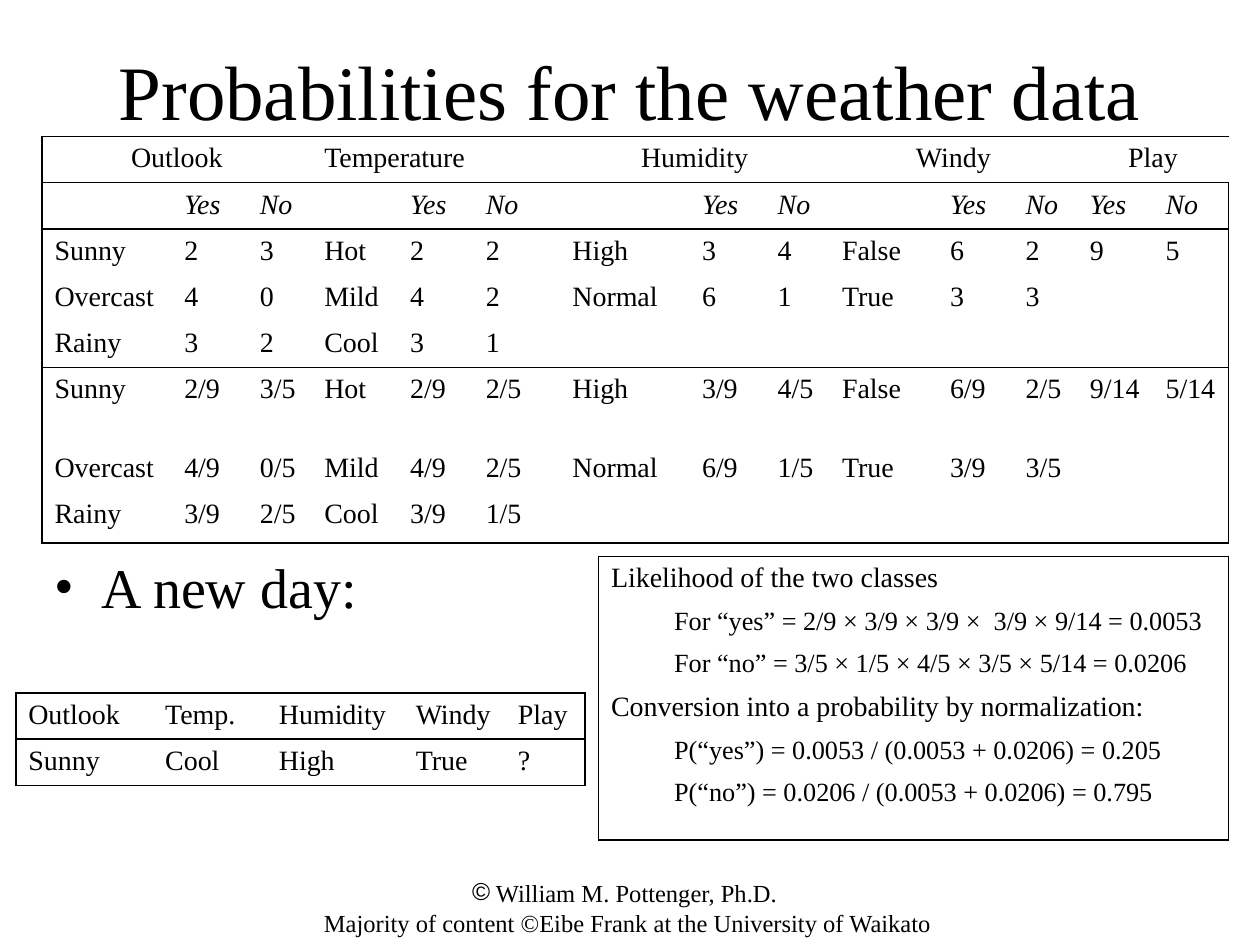
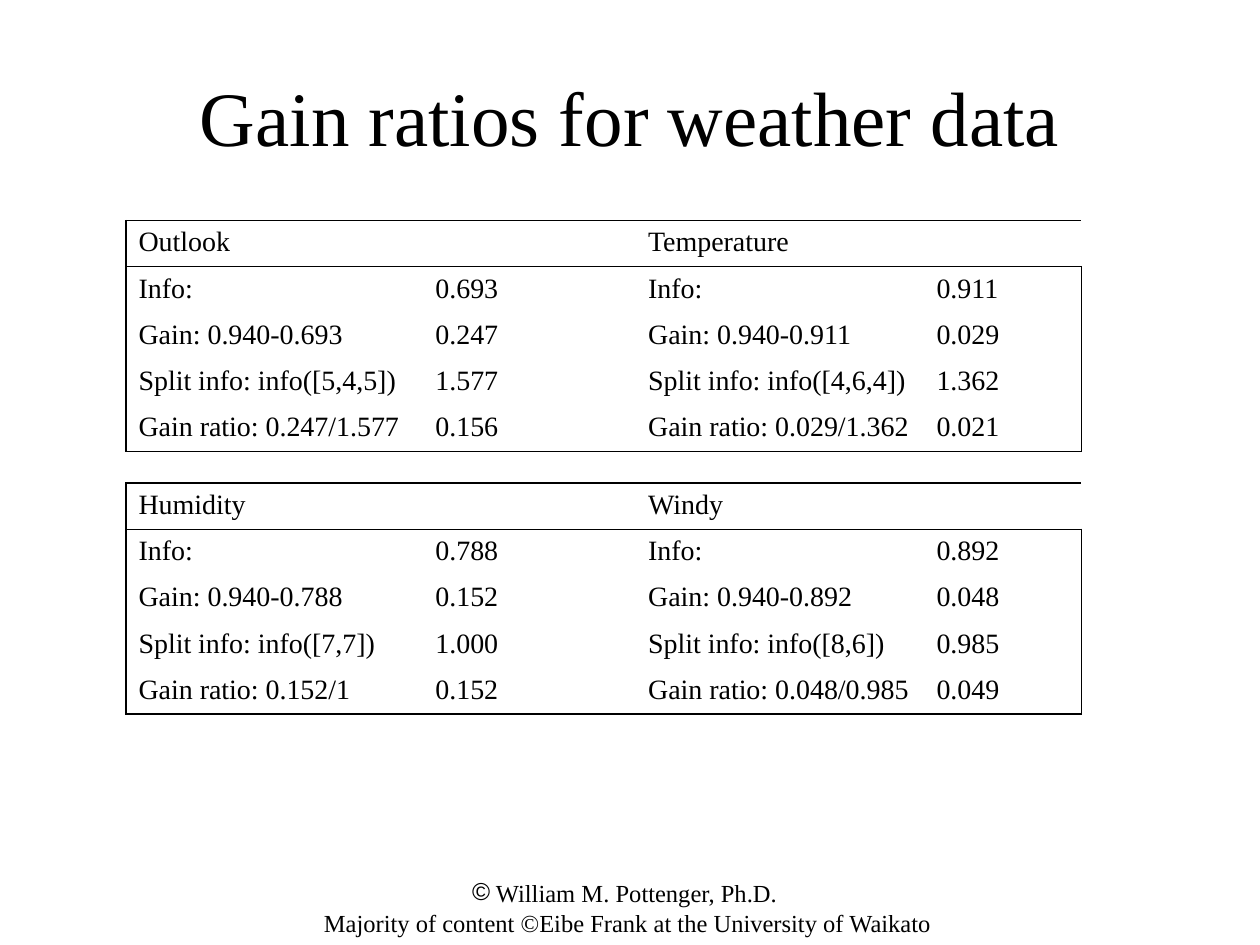
"""Builds two slides on weather data: class probabilities and gain ratios."""
from lxml import etree
from pptx import Presentation
from pptx.dml.color import RGBColor
from pptx.enum.text import MSO_ANCHOR, PP_ALIGN
from pptx.oxml.ns import qn
from pptx.util import Pt

BLACK = RGBColor(0, 0, 0)
WHITE = RGBColor(255, 255, 255)
LEFT, CENTER = PP_ALIGN.LEFT, PP_ALIGN.CENTER
MIDDLE = MSO_ANCHOR.MIDDLE
FONT = "Times New Roman"
BULLET_FONT = "Arial"
TITLE_SIZE, BODY_SIZE, TABLE_SIZE, FORMULA_SIZE, FOOTER_SIZE = 44, 32, 16, 15, 14
TITLE_ONLY = 5

FOOTER = [" William M. Pottenger, Ph.D.",
          " Majority of content ©Eibe Frank at the University of Waikato"]

WEATHER_WIDTHS = [74.1, 43.2, 36.8, 49.1, 43.2, 49.5, 74.1, 43.2, 36.8,
                  61.7, 43.2, 36.8, 43.2, 43.2]
WEATHER_HEIGHTS = [25.7] * 5 + [44.6, 25.7, 29.2]
WEATHER_ROWS = [
    "Outlook|||Temperature|||Humidity|||Windy|||Play|",
    "|Yes|No||Yes|No||Yes|No||Yes|No|Yes|No",
    "Sunny|2|3|Hot|2|2|High|3|4|False|6|2|9|5",
    "Overcast|4|0|Mild|4|2|Normal|6|1|True|3|3||",
    "Rainy|3|2|Cool|3|1||||||||",
    "Sunny|2/9|3/5|Hot|2/9|2/5|High|3/9|4/5|False|6/9|2/5|9/14|5/14",
    "Overcast|4/9|0/5|Mild|4/9|2/5|Normal|6/9|1/5|True|3/9|3/5||",
    "Rainy|3/9|2/5|Cool|3/9|1/5||||||||",
]
NEW_DAY_ROWS = ["Outlook|Temp.|Humidity|Windy|Play", "Sunny|Cool|High|True|?"]
LIKELIHOOD = [
    (0, "Likelihood of the two classes"),
    (1, "For “yes” = 2/9 × 3/9 × 3/9 ×  3/9 × 9/14 = 0.0053"),
    (1, "For “no” = 3/5 × 1/5 × 4/5 × 3/5 × 5/14 = 0.0206"),
    (0, "Conversion into a probability by normalization:"),
    (1, "P(“yes”) = 0.0053 / (0.0053 + 0.0206) = 0.205"),
    (1, "P(“no”) = 0.0206 / (0.0053 + 0.0206) = 0.795"),
]
GAIN_WIDTHS = [169.6, 121.6, 164.8, 90]
GAIN_TABLES = [
    (126, ["Outlook||Temperature|",
           "Info:|0.693|Info:|0.911",
           "Gain: 0.940-0.693|0.247|Gain: 0.940-0.911|0.029",
           "Split info: info([5,4,5])|1.577|Split info: info([4,6,4])|1.362",
           "Gain ratio: 0.247/1.577|0.156|Gain ratio: 0.029/1.362|0.021"]),
    (276, ["Humidity||Windy|",
           "Info:|0.788|Info:|0.892",
           "Gain: 0.940-0.788|0.152|Gain: 0.940-0.892|0.048",
           "Split info: info([7,7])|1.000|Split info: info([8,6])|0.985",
           "Gain ratio: 0.152/1|0.152|Gain ratio: 0.048/0.985|0.049"]),
]


class WeatherDeck:
    """Holds the deck, its style and the current page."""

    def __init__(self):
        self.deck = Presentation()
        self.deck.slide_width, self.deck.slide_height = Pt(720), Pt(540)
        self.page = None

    def style(self, para, size, align=LEFT, italic=False):
        """Format a whole paragraph."""
        para.alignment = align
        font = para.font
        font.name, font.size, font.italic = FONT, Pt(size), italic
        font.color.rgb = BLACK
        if not para.runs:
            etree.SubElement(para._p, qn("a:endParaRPr"), sz=str(size * 100))

    def bullet(self, para, mark, typeface, hang=0):
        """Give a paragraph a bullet with a hanging indent."""
        props = para._p.get_or_add_pPr()
        props.set("marL", str(Pt(hang)))
        props.set("indent", str(-Pt(hang)))
        etree.SubElement(props, qn("a:buFont"), typeface=typeface)
        etree.SubElement(props, qn("a:buChar"), char=mark)

    def new_page(self, title, top, height):
        """Start a page with its title and the shared footer."""
        self.page = self.deck.slides.add_slide(self.deck.slide_layouts[TITLE_ONLY])
        fill = self.page.background.fill
        fill.solid()
        fill.fore_color.rgb = WHITE
        box = self.page.shapes.title
        box.left, box.top, box.width, box.height = Pt(24), Pt(top), Pt(672), Pt(height)
        frame = box.text_frame
        frame.text = title
        frame.vertical_anchor = MIDDLE
        self.style(frame.paragraphs[0], TITLE_SIZE, CENTER)
        self.footer()

    def text_box(self, left, top, width, height, lines):
        """Add a wrapping text box and return its paragraphs."""
        box = self.page.shapes.add_textbox(Pt(left), Pt(top), Pt(width), Pt(height))
        frame = box.text_frame
        frame.word_wrap = True
        frame.text = "\n".join(lines)
        return frame.paragraphs

    def footer(self):
        """Add the credit lines at the foot of the page."""
        author, source = self.text_box(162, 498, 390, 24, FOOTER)
        self.bullet(author, "©", BULLET_FONT)
        source.space_before = Pt(0.8)
        for para in (author, source):
            self.style(para, FOOTER_SIZE, CENTER)

    def bullet_line(self, left, top, width, text):
        """Add one large bulleted line."""
        para = self.text_box(left, top, width, 43, [text])[0]
        self.bullet(para, "•", FONT, 27)
        self.style(para, BODY_SIZE)

    def borders(self, cell, left, right, top, bottom):
        """Draw the chosen sides of a cell and clear the others."""
        cell.fill.background()
        props = cell._tc.get_or_add_tcPr()
        sides = {"L": left, "R": right, "T": top, "B": bottom}
        for index, (side, drawn) in enumerate(sides.items()):
            line = etree.Element(qn(f"a:ln{side}"), w=str(Pt(1)))
            if drawn:
                paint = etree.SubElement(line, qn("a:solidFill"))
                etree.SubElement(paint, qn("a:srgbClr"), val=str(BLACK))
            else:
                etree.SubElement(line, qn("a:noFill"))
            props.insert(index, line)

    def table(self, left, top, widths, heights, rows, rules=(), spans=(),
              italic_row=None, centered=()):
        """Add an outlined table with rules above the rows listed."""
        grid = self.page.shapes.add_table(
            len(rows), len(widths), Pt(left), Pt(top),
            Pt(sum(widths)), Pt(sum(heights))).table
        grid.first_row = grid.horz_banding = False
        for column, width in zip(grid.columns, widths):
            column.width = Pt(width)
        lines = {0, len(rows), *rules}
        for row, (height, texts) in enumerate(zip(heights, rows)):
            grid.rows[row].height = Pt(height)
            for col, text in enumerate(texts.split("|")):
                cell = grid.cell(row, col)
                cell.text = text
                align = CENTER if row == 0 and text in centered else LEFT
                self.style(cell.text_frame.paragraphs[0], TABLE_SIZE, align,
                           row == italic_row)
                self.borders(cell, col == 0, col == len(widths) - 1,
                             row in lines, row + 1 in lines)
        start = 0
        for span in spans:
            grid.cell(0, start).merge(grid.cell(0, start + span - 1))
            start += span
        return grid

    def formula_panel(self, left, top, width, height, lines):
        """Add a one-cell table of headings and indented formulas."""
        frame = self.table(left, top, [width], [height], [""]).cell(0, 0).text_frame
        frame.text = "\n".join(text for _, text in lines)
        for index, (para, (level, _)) in enumerate(zip(frame.paragraphs, lines)):
            if index:
                para.space_before = Pt(7.6)
            if level:
                para.level = level
                para._p.get_or_add_pPr().set("marL", str(Pt(36)))
            self.style(para, FORMULA_SIZE if level else TABLE_SIZE)


def main():
    """Build both pages and save the deck."""
    weather = WeatherDeck()

    weather.new_page("Probabilities for the weather data", 18, 66)
    weather.table(24, 78, WEATHER_WIDTHS, WEATHER_HEIGHTS, WEATHER_ROWS,
                  rules=(1, 2, 5), spans=(3, 3, 3, 3, 2), italic_row=1,
                  centered=("Outlook", "Humidity", "Windy", "Play"))
    weather.bullet_line(24, 312.4, 300, "A new day:")
    weather.table(9, 396, [78.2, 65, 78.2, 58.4, 45.4], [25] * 2, NEW_DAY_ROWS,
                  rules=(1,))
    weather.formula_panel(342, 318, 360, 162, LIKELIHOOD)

    weather.new_page("Gain ratios for weather data", 24, 84)
    for top, rows in GAIN_TABLES:
        weather.table(72, top, GAIN_WIDTHS, [25] * 5, rows, rules=(1,), spans=(2, 2))

    weather.deck.save("out.pptx")


if __name__ == "__main__":
    main()
